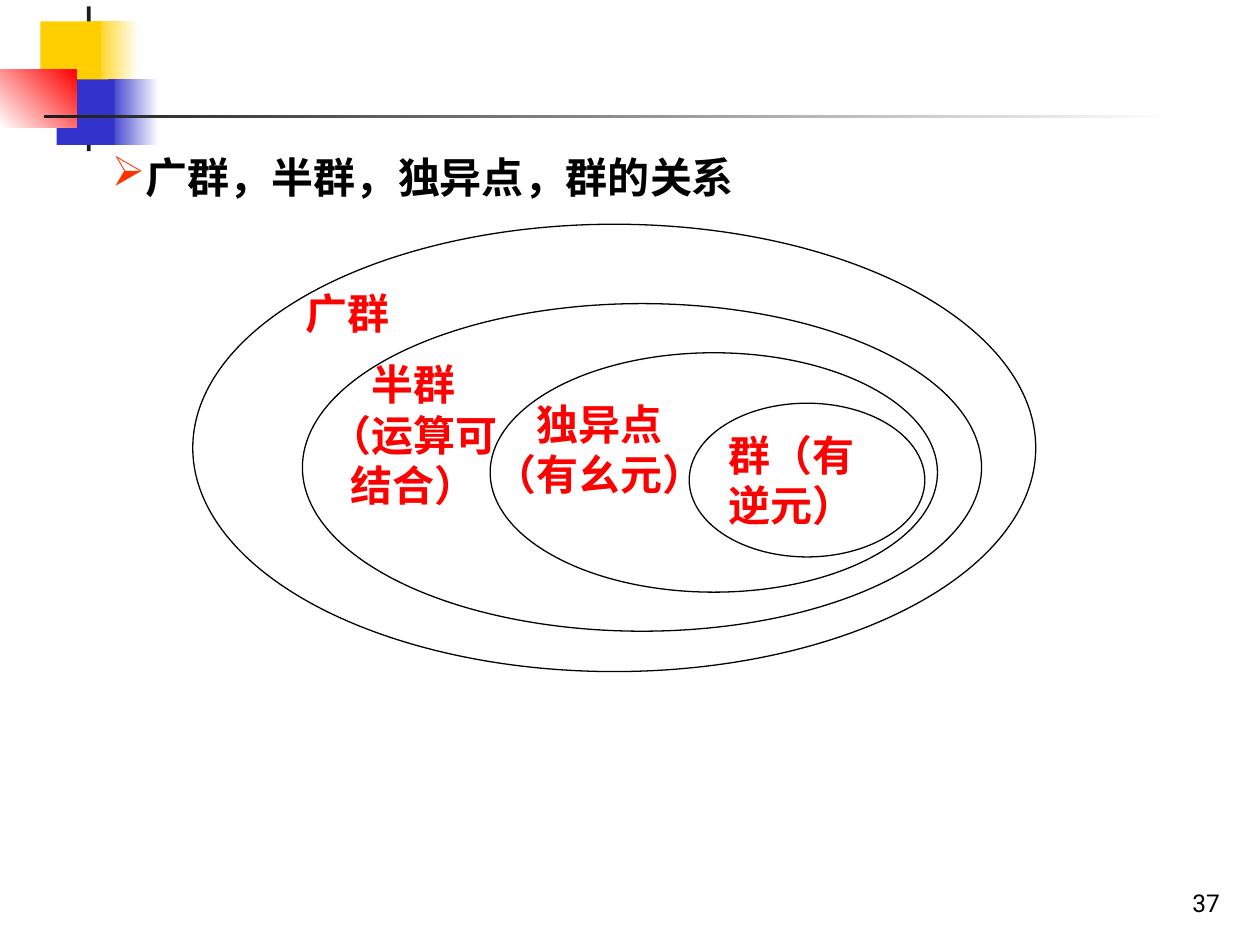
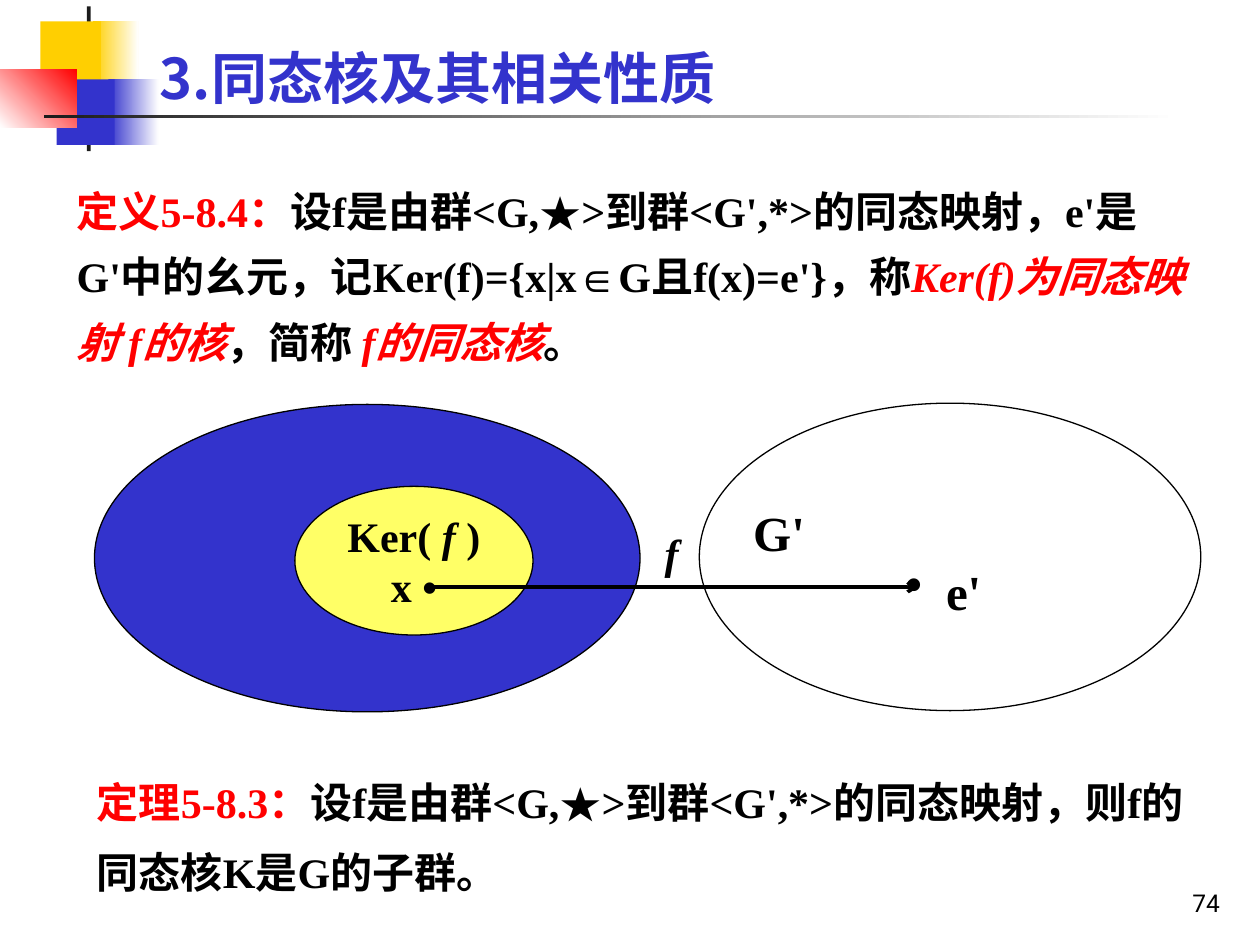
from typing import NamedTuple, Optional

from lxml import etree
from pptx import Presentation
from pptx import util as u
from pptx.dml.color import RGBColor
from pptx.enum import shapes, text
from pptx.oxml import ns

# Shared colours and fonts
BLACK = RGBColor(0x00, 0x00, 0x00)
WHITE = RGBColor(0xFF, 0xFF, 0xFF)
CHARCOAL = RGBColor(0x1C, 0x1C, 0x1C)
RED = RGBColor(0xFF, 0x00, 0x00)
ORANGE = RGBColor(0xFF, 0x33, 0x00)
GOLD = RGBColor(0xFF, 0xCF, 0x01)
BLUE = RGBColor(0x33, 0x33, 0xCC)
YELLOW = RGBColor(0xFF, 0xFF, 0x66)
SERIF, CJK, NUMBER_FONT = "Times New Roman", "Noto Sans CJK SC", "Roboto"
LEFT, CENTER, RIGHT = text.PP_ALIGN.LEFT, text.PP_ALIGN.CENTER, text.PP_ALIGN.RIGHT
TOP, MIDDLE, BOTTOM = text.MSO_ANCHOR.TOP, text.MSO_ANCHOR.MIDDLE, text.MSO_ANCHOR.BOTTOM


class Box(NamedTuple):
    left: float
    top: float
    width: float
    height: float


class Block(NamedTuple):
    box: Box
    color: RGBColor
    fade_to: Optional[RGBColor] = None
    angle: float = 0


class Run(NamedTuple):
    text: str
    color: Optional[RGBColor] = None
    italic: bool = False


class Ring(NamedTuple):
    ellipse: Box
    label: Box
    lines: list[str]


class Bullet(NamedTuple):
    char: str
    color: RGBColor
    hang: float


# Corner blocks and title rule, back to front
DECORATION = [
    Block(Box(0.74, 0.17, 0.36, 0.52), GOLD, WHITE),
    Block(Box(0.86, 0.63, 0.4, 0.52), BLUE, WHITE),
    Block(Box(0.69, 0.05, 0.03, 1.15), CHARCOAL),
    Block(Box(0.32, 0.17, 0.48, 0.52), GOLD),
    Block(Box(0.45, 0.63, 0.46, 0.52), BLUE),
    Block(Box(0, 0.55, 0.61, 0.46), WHITE, RED, 45),
    Block(Box(0.35, 0.91, 9, 0.03), CHARCOAL, WHITE),
]

RINGS = [
    Ring(Box(1.53, 1.78, 6.69, 3.55), Box(2.09, 2.23, 1.33, 0.5), ["广群"]),
    Ring(Box(2.4, 2.41, 5.39, 2.6), Box(2.51, 2.8, 1.54, 1.3), ["半群", "（运算可", "结合）"]),
    Ring(Box(3.89, 2.8, 3.55, 1.9), Box(3.82, 3.11, 1.88, 0.9), ["独异点", "（有幺元）"]),
    Ring(Box(5.47, 3.2, 1.87, 1.22), Box(5.6, 3.36, 1.36, 0.9), ["群（有", "逆元）"]),
]


def inches(box: Box) -> list:
    return [u.Inches(v) for v in box]


def add_bullet(p, bullet: Bullet) -> None:
    """Give a paragraph a hanging bullet."""
    pPr = p._p.get_or_add_pPr()
    pPr.set("marL", str(u.Inches(bullet.hang)))
    pPr.set("indent", str(-u.Inches(bullet.hang)))
    clr = etree.SubElement(pPr, ns.qn("a:buClr"))
    etree.SubElement(clr, ns.qn("a:srgbClr"), val=str(bullet.color))
    etree.SubElement(pPr, ns.qn("a:buChar"), char=bullet.char)


def write(sp, paragraphs: list[list[Run]], *, size: float = 24, font: str = SERIF,
          color: RGBColor = BLACK, bold: bool = True, align=LEFT, anchor=TOP,
          wrap: bool = True, spacing: Optional[float] = None,
          bullet: Optional[Bullet] = None) -> None:
    tf = sp.text_frame
    tf.word_wrap, tf.vertical_anchor = wrap, anchor
    for i, runs in enumerate(paragraphs):
        p = tf.add_paragraph() if i else tf.paragraphs[0]
        p.alignment = align
        if spacing:
            p.line_spacing = spacing
        if bullet:
            add_bullet(p, bullet)
        for run in runs:
            r = p.add_run()
            r.text = run.text
            f = r.font
            f.size, f.name, f.bold, f.italic = u.Pt(size), font, bold, run.italic
            f.color.rgb = run.color or color
            etree.SubElement(r._r.get_or_add_rPr(), ns.qn("a:ea"), typeface=CJK)


def add_text(s, box: Box, paragraphs: list[list[Run]], **fmt) -> None:
    write(s.shapes.add_textbox(*inches(box)), paragraphs, **fmt)


def add_block(s, block: Block) -> None:
    sp = s.shapes.add_shape(shapes.MSO_SHAPE.RECTANGLE, *inches(block.box))
    sp.shadow.inherit = False
    sp.line.fill.background()
    if block.fade_to is None:
        sp.fill.solid()
        sp.fill.fore_color.rgb = block.color
    else:
        sp.fill.gradient()
        sp.fill.gradient_angle = block.angle
        for stop, color in zip(sp.fill.gradient_stops, (block.color, block.fade_to)):
            stop.color.rgb = color


def add_ellipse(s, box: Box, fill: Optional[RGBColor] = None):
    sp = s.shapes.add_shape(shapes.MSO_SHAPE.OVAL, *inches(box))
    sp.shadow.inherit = False
    sp.line.color.rgb, sp.line.width = BLACK, u.Pt(0.75)
    if fill is None:
        sp.fill.background()
    else:
        sp.fill.solid()
        sp.fill.fore_color.rgb = fill
    return sp


def add_arrow(s, x1: float, x2: float, y: float) -> None:
    cx = s.shapes.add_connector(shapes.MSO_CONNECTOR.STRAIGHT, u.Inches(x1), u.Inches(y),
                                u.Inches(x2), u.Inches(y))
    cx.line.color.rgb, cx.line.width = BLACK, u.Pt(2)
    etree.SubElement(cx.line._get_or_add_ln(), ns.qn("a:tailEnd"), type="arrow")
    etree.SubElement(cx._element.spPr, ns.qn("a:effectLst"))


def new_slide(prs, number: int):
    s = prs.slides.add_slide(prs.slide_layouts[6])
    for block in DECORATION:
        add_block(s, block)
    add_text(s, Box(7.7, 6.83, 2.08, 0.5), [[Run(str(number))]], size=14,
             font=NUMBER_FONT, bold=False, align=RIGHT, anchor=BOTTOM)
    return s


def build_relations(prs) -> None:
    s = new_slide(prs, 37)
    add_text(s, Box(0.79, 1.15, 7.51, 0.5), [[Run("广群，半群，独异点，群的关系")]],
             bullet=Bullet("➢", ORANGE, 0.27))
    # Nested sets
    for ring in RINGS:
        add_ellipse(s, ring.ellipse)
        add_text(s, ring.label, [[Run(line)] for line in ring.lines],
                 color=RED, align=CENTER, wrap=False)


def build_kernel(prs) -> None:
    s = new_slide(prs, 74)
    add_text(s, Box(1.17, 0.3, 7.92, 0.63), [[Run("3.同态核及其相关性质")]],
             size=32, font=CJK, color=BLUE)
    # Definition
    add_text(s, Box(0.51, 1.3, 9.05, 1.66), [[
        Run("定义5-8.4：", RED),
        Run("设f是由群<G,★>到群<G',*>的同态映射，e'是G'中的幺元，"
            "记Ker(f)={x|x∈G且f(x)=e'}，称"),
        Run("Ker(f)为同态映射 f的核", RED, True),
        Run("，简称 "),
        Run("f的同态核", RED, True),
        Run("。"),
    ]], spacing=1.3)
    # Mapping from G to G'
    add_ellipse(s, Box(0.75, 3.21, 4.33, 2.44), BLUE)
    add_ellipse(s, Box(5.55, 3.2, 3.98, 2.44))
    add_text(s, Box(5.88, 3.94, 0.7, 0.5), [[Run("G'")]], size=28, wrap=False)
    add_text(s, Box(7.09, 4.41, 0.9, 0.5), [[Run("e'")]], size=28, wrap=False,
             bullet=Bullet("•", BLACK, 0.32))
    kernel = add_ellipse(s, Box(2.34, 3.86, 1.89, 1.18), YELLOW)
    write(kernel, [[Run("Ker( "), Run("f ", italic=True), Run(")")], [Run("x •")]],
          align=CENTER, anchor=MIDDLE, wrap=False)
    add_arrow(s, 3.43, 7.29, 4.66)
    add_text(s, Box(5.09, 4.14, 0.48, 0.5), [[Run("f", italic=True)]],
             align=CENTER, wrap=False)
    # Theorem
    add_text(s, Box(0.67, 5.95, 8.89, 1.42), [[
        Run("定理5-8.3：", RED),
        Run("设f是由群<G,★>到群<G',*>的同态映射，则f的同态核K是G的子群。"),
    ]], spacing=1.4)


def main() -> None:
    prs = Presentation()
    prs.slide_width, prs.slide_height = u.Inches(10), u.Inches(7.5)
    build_relations(prs)
    build_kernel(prs)
    prs.save("out.pptx")


if __name__ == "__main__":
    main()
